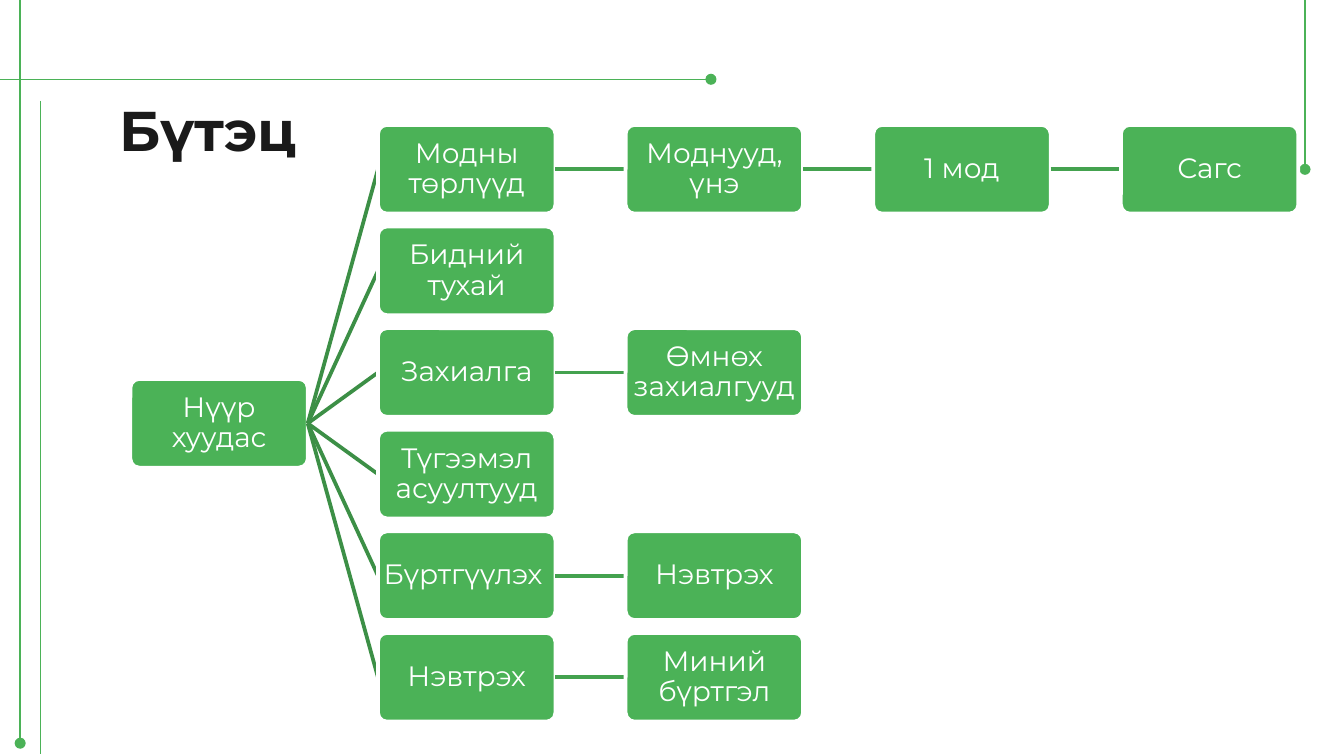
"""Build a site structure slide: one home box branching into six chains of pages."""
import pptx
import pptx.util
import pptx.oxml
import pptx.oxml.ns
import pptx.dml.color
import pptx.enum.shapes
import pptx.enum.text

WIDTH = 10
HEIGHT = WIDTH * 9 / 16
LEFT, TOP = 0.97, 0.93
COLUMN_STEP = (8.34 - LEFT) / 4
ROW_STEP = (4.71 - TOP) / 5
BOX_WIDTH, BOX_HEIGHT = 1.32, 0.66
FONT = "Montserrat"
COLORS = {
    "green": "4BB257",
    "branch": "3C8F46",
    "chain": "44A24F",
    "white": "FFFFFF",
    "ink": "1A1A1A",
}
HOME = "Нүүр хуудас"
CHAINS = [
    ["Модны төрлүүд", "Моднууд, үнэ", "1 мод", "Сагс"],
    ["Бидний тухай"],
    ["Захиалга", "Өмнөх захиалгууд"],
    ["Түгээмэл асуултууд"],
    ["Бүртгүүлэх ", "Нэвтрэх"],
    ["Нэвтрэх", "Миний бүртгэл"],
]
HOME_ROW = (len(CHAINS) - 1) / 2
RULES = [
    ((0.3, 0.75), (0.3, 5.61), False),
    ((-0.02, 0.59), (5.29, 0.59), True),
    ((9.71, 0), (9.71, 1.26), True),
    ((0.15, 0), (0.15, 5.53), True),
]


def color(name):
    """Return the named colour."""
    return pptx.dml.color.RGBColor.from_string(COLORS[name])


def element(tag, attributes=""):
    """Return a new empty drawing element."""
    return pptx.oxml.parse_xml(f'<a:{tag} {pptx.oxml.ns.nsdecls("a")} {attributes}/>')


def apply(target, values):
    """Set each attribute in values on target."""
    for name, value in values.items():
        setattr(target, name, value)


def add_line(page, start, end, tone, weight, dotted=False):
    """Draw a straight line, with a round end if dotted."""
    points = [pptx.util.Inches(length) for length in (*start, *end)]
    line = page.shapes.add_connector(pptx.enum.shapes.MSO_CONNECTOR.STRAIGHT, *points)
    line.line.color.rgb = color(tone)
    line.line.width = pptx.util.Pt(weight)
    properties = line._element.spPr
    if dotted:
        outline = properties.find(pptx.oxml.ns.qn("a:ln"))
        outline.append(element("tailEnd", 'type="oval"'))
    properties.append(element("effectLst"))


def write(box, text, tone, inset, frame_values, para_values, font_values):
    """Fill a box with one formatted paragraph."""
    frame = box.text_frame
    sides = ("margin_left", "margin_top", "margin_right", "margin_bottom")
    apply(frame, dict.fromkeys(sides, pptx.util.Inches(inset)))
    apply(frame, {"word_wrap": True, **frame_values})
    para = frame.paragraphs[0]
    apply(para, para_values)
    span = para.add_run()
    span.text = text
    apply(span.font, {"name": FONT, **font_values})
    span.font.color.rgb = color(tone)


def add_title(page, text):
    """Place the slide heading."""
    place = [pptx.util.Inches(length) for length in (0.79, 0.61, 4.94, 1.12)]
    box = page.shapes.add_textbox(*place)
    write(box, text, "ink", 0.1, {}, {}, {"size": pptx.util.Pt(30), "bold": True})


def add_box(page, column, row, text):
    """Place a labelled rounded box in a grid cell."""
    place = (LEFT + column * COLUMN_STEP, TOP + row * ROW_STEP, BOX_WIDTH, BOX_HEIGHT)
    box = page.shapes.add_shape(
        pptx.enum.shapes.MSO_SHAPE.ROUNDED_RECTANGLE,
        *[pptx.util.Inches(length) for length in place],
    )
    box.adjustments[0] = 0.1
    box.shadow.inherit = False
    box.fill.solid()
    box.fill.fore_color.rgb = color("green")
    box.line.color.rgb = color("white")
    box.line.width = pptx.util.Pt(2)
    write(
        box,
        text,
        "white",
        0.01,
        {"vertical_anchor": pptx.enum.text.MSO_ANCHOR.MIDDLE},
        {"alignment": pptx.enum.text.PP_ALIGN.CENTER, "line_spacing": 0.9},
        {"size": pptx.util.Pt(15)},
    )


def add_link(page, column, from_row, to_row, tone):
    """Join a box to one in the next column."""
    start_x = LEFT + column * COLUMN_STEP + BOX_WIDTH
    end_x = LEFT + (column + 1) * COLUMN_STEP
    middle = TOP + BOX_HEIGHT / 2
    start = (start_x, middle + from_row * ROW_STEP)
    end = (end_x, middle + to_row * ROW_STEP)
    add_line(page, start, end, tone, 2)


def main():
    """Build and save the deck."""
    deck = pptx.Presentation()
    deck.slide_width = pptx.util.Inches(WIDTH)
    deck.slide_height = pptx.util.Inches(HEIGHT)
    page = deck.slides.add_slide(deck.slide_layouts[6])
    for start, end, dotted in RULES:
        add_line(page, start, end, "green", 0.75, dotted)
    add_title(page, "Бүтэц")
    add_box(page, 0, HOME_ROW, HOME)
    for row, chain in enumerate(CHAINS):
        for column, text in enumerate(chain):
            if column == 0:
                add_link(page, column, HOME_ROW, row, "branch")
            else:
                add_link(page, column, row, row, "chain")
            add_box(page, column + 1, row, text)
    deck.save("out.pptx")


if __name__ == "__main__":
    main()
